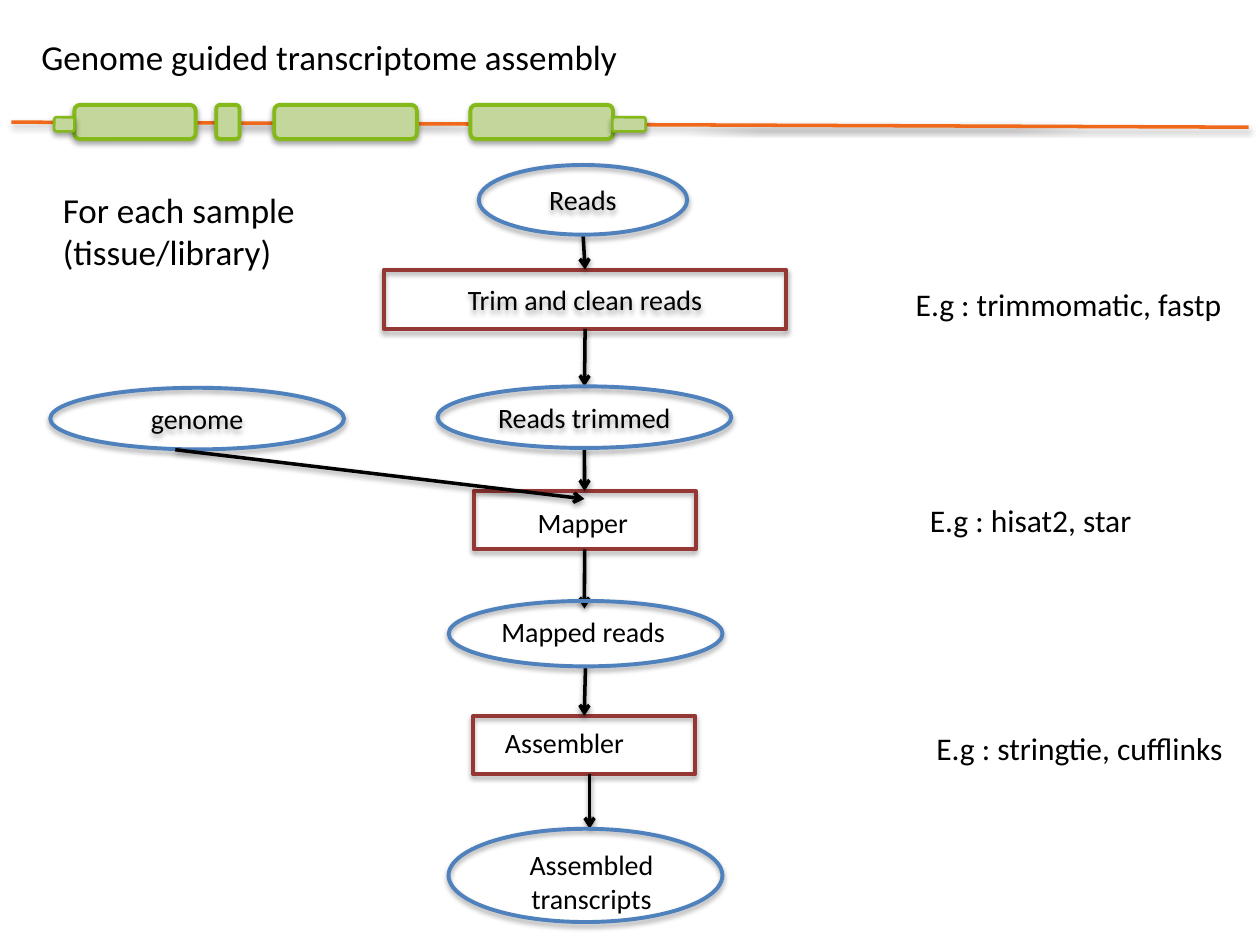
from dataclasses import dataclass

from lxml import etree
from pptx import Presentation
from pptx.dml.color import RGBColor
from pptx.enum import shapes, text
from pptx.oxml import ns
from pptx.util import Pt

BLACK = RGBColor(0, 0, 0)
BLUE = RGBColor(0x4F, 0x81, 0xBD)
RED = RGBColor(0x95, 0x37, 0x35)
ORANGE = RGBColor(0xF0, 0x68, 0x1A)
GREEN = RGBColor(0x84, 0xB9, 0x19)
PALE = RGBColor(0xC3, 0xD6, 0x9B)
FONT = "Calibri"
KIND = shapes.MSO_SHAPE
LEFT, MID = text.PP_ALIGN.LEFT, text.PP_ALIGN.CENTER


@dataclass
class Node:
    x: float
    y: float
    w: float
    h: float
    words: str = ""


@dataclass
class Label:
    x: float
    y: float
    w: float
    h: float
    words: str
    size: int = 16
    align: text.PP_ALIGN = LEFT
    wrap: bool = True


@dataclass
class Arrow:
    """Joins box 'tail' by its bottom and box 'head' by its top, if named."""
    x1: float
    y1: float
    x2: float
    y2: float
    tail: str = ""
    head: str = ""


EXONS = [Node(x, 59.9, w, 19.6) for x, w in
         ((42.5, 69.3), (123.6, 13.3), (156.7, 81.5), (268.8, 81.5))]
ENDS = [Node(x, 67, w, 8.1) for x, w in ((350, 19), (31, 11.5))]

BOXES = {
    "trim": Node(219.4, 154.1, 229.9, 33.8, "Trim and clean reads"),
    "map": Node(270.6, 280.6, 126.9, 33.3),
    "join": Node(270.4, 409.1, 126.9, 33.3),
}
OVALS = [
    Node(273.6, 94.3, 119.1, 39.8, "Reads"),
    Node(250, 220.8, 167.9, 35.2, "Reads trimmed"),
    Node(28.7, 221.6, 167.9, 35.2, "genome"),
    Node(256.4, 343.4, 156.5, 37.4),
    Node(256.3, 473.6, 156.5, 53.3),
]
ARROWS = [
    Arrow(333.2, 134.1, 334.4, 154.1, head="trim"),
    Arrow(334.4, 187.9, 334, 220.8, tail="trim"),
    Arrow(334, 256, 334, 280.6, head="map"),
    Arrow(334, 313.9, 334, 347.8, tail="map"),
    Arrow(334.6, 380.8, 333.9, 409.1, head="join"),
    Arrow(336.9, 442.4, 336.9, 473.6),
]
GUIDE = Arrow(100.2, 257, 334, 285.1)
LABELS = [
    Label(16.6, 16.6, 348.5, 31.7, "Genome guided transcriptome assembly", 20, wrap=False),
    Label(28.8, 104.4, 268.6, 55.4, "For each sample\n(tissue/library)", 20),
    Label(300.2, 285.1, 94.3, 26.6, "Mapper"),
    Label(279.4, 347.8, 149, 26.6, "Mapped reads"),
    Label(281.5, 411.1, 110.9, 26.6, "Assembler"),
    Label(263.5, 481, 149, 46.1, "Assembled transcripts", align=MID),
    Label(516.2, 159.1, 191.5, 28.8, "E.g : trimmomatic, fastp", 18, wrap=False),
    Label(524.2, 283, 131, 28.8, "E.g : hisat2, star", 18, wrap=False),
    Label(528, 413.3, 180, 28.8, "E.g : stringtie, cufflinks", 18, wrap=False),
]


def shade(item, dist: float, alpha: int) -> None:
    """Give a shape or connector a soft shadow straight below it."""
    props = item._element.spPr
    list_ = etree.SubElement(props, ns.qn("a:effectLst"))
    cast = etree.SubElement(list_, ns.qn("a:outerShdw"), blurRad=str(Pt(3.1)),
                            dist=str(Pt(dist)), dir="5400000", rotWithShape="0")
    tint = etree.SubElement(cast, ns.qn("a:srgbClr"), val=str(BLACK))
    etree.SubElement(tint, ns.qn("a:alpha"), val=str(alpha * 1000))


def write(frame, words: str, size: int, align: text.PP_ALIGN) -> None:
    frame.text = words
    for para in frame.paragraphs:
        para.alignment = align
        para.font.name, para.font.size = FONT, Pt(size)
        para.font.color.rgb = BLACK


def draw_node(slide, node: Node, kind: KIND, line: RGBColor,
              width: float = 2.25, fill: RGBColor | None = None):
    shape = slide.shapes.add_shape(kind, Pt(node.x), Pt(node.y), Pt(node.w), Pt(node.h))
    if fill is None:
        shape.fill.background()
    else:
        shape.fill.solid()
        shape.fill.fore_color.rgb = fill
    shape.line.color.rgb, shape.line.width = line, Pt(width)
    shade(shape, 1.8, 35)
    if node.words:
        shape.text_frame.vertical_anchor = text.MSO_ANCHOR.MIDDLE
        write(shape.text_frame, node.words, 16, MID)
    return shape


def draw_line(slide, x1: float, y1: float, x2: float, y2: float, color: RGBColor):
    line = slide.shapes.add_connector(shapes.MSO_CONNECTOR.STRAIGHT,
                                      Pt(x1), Pt(y1), Pt(x2), Pt(y2))
    line.line.color.rgb, line.line.width = color, Pt(2)
    shade(line, 1.6, 38)
    return line


def draw_arrow(slide, arrow: Arrow, boxes: dict) -> None:
    line = draw_line(slide, arrow.x1, arrow.y1, arrow.x2, arrow.y2, BLACK)
    etree.SubElement(line.line._get_or_add_ln(), ns.qn("a:tailEnd"), type="arrow")
    if arrow.tail:
        line.begin_connect(boxes[arrow.tail], 2)
    if arrow.head:
        line.end_connect(boxes[arrow.head], 0)


def draw_label(slide, label: Label) -> None:
    box = slide.shapes.add_textbox(Pt(label.x), Pt(label.y), Pt(label.w), Pt(label.h))
    box.text_frame.word_wrap = label.wrap
    box.text_frame.auto_size = text.MSO_AUTO_SIZE.SHAPE_TO_FIT_TEXT
    write(box.text_frame, label.words, label.size, label.align)


def main() -> None:
    deck = Presentation()
    deck.slide_width, deck.slide_height = Pt(720), Pt(540)
    slide = deck.slides.add_slide(deck.slide_layouts[6])

    draw_line(slide, 6.5, 69.8, 713.5, 72.7, ORANGE)
    for exon in EXONS:
        draw_node(slide, exon, KIND.ROUNDED_RECTANGLE, GREEN, fill=PALE)
    for end in ENDS:
        draw_node(slide, end, KIND.ROUNDED_RECTANGLE, GREEN, 1.5, PALE)

    boxes = {name: draw_node(slide, node, KIND.RECTANGLE, RED)
             for name, node in BOXES.items()}
    for arrow in ARROWS:
        draw_arrow(slide, arrow, boxes)
    for oval in OVALS:
        draw_node(slide, oval, KIND.OVAL, BLUE)
    draw_arrow(slide, GUIDE, boxes)
    for label in LABELS:
        draw_label(slide, label)

    deck.save("out.pptx")


if __name__ == "__main__":
    main()
